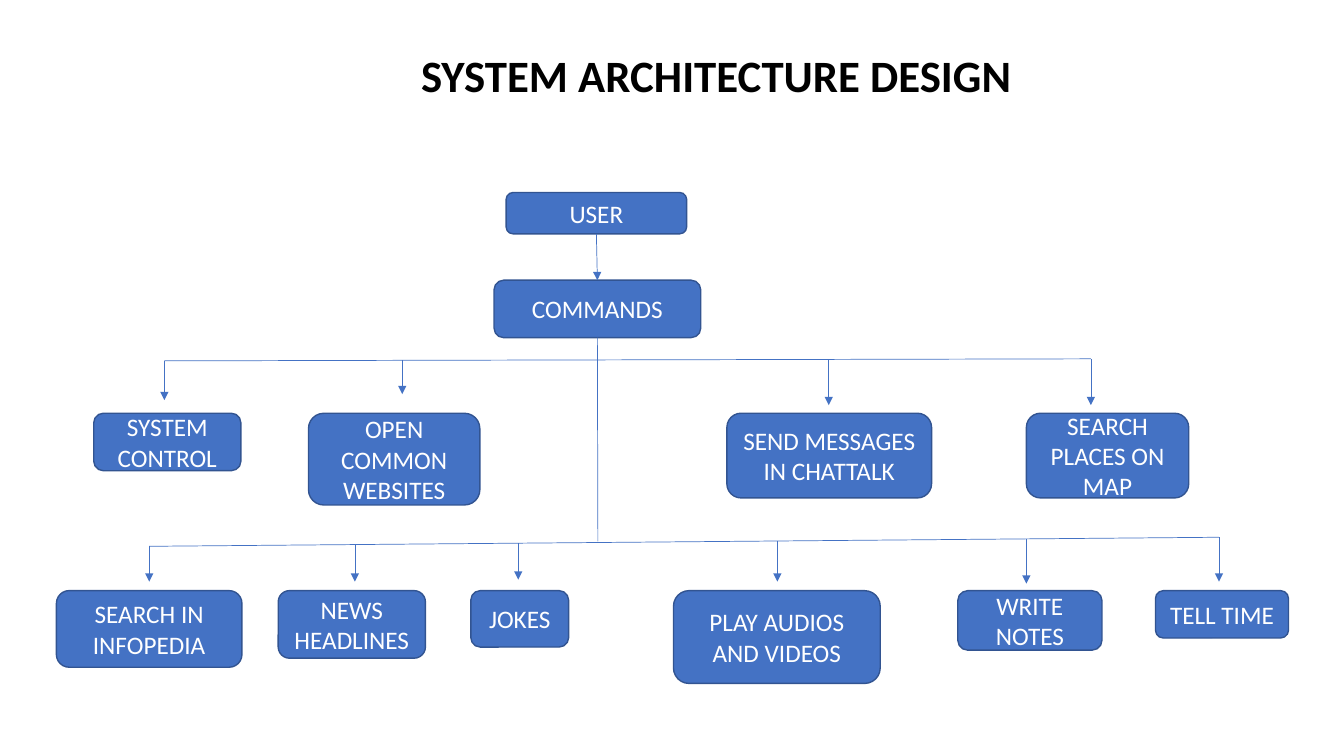
from lxml import etree
from pptx import Presentation
from pptx.dml.color import RGBColor
from pptx.enum.shapes import MSO_CONNECTOR as Connector, MSO_SHAPE as Shape
from pptx.enum.text import MSO_ANCHOR as Anchor, PP_ALIGN as Align
from pptx.oxml.ns import qn
from pptx.util import Inches, Pt

BLUE = "4472C4"
EDGE = "325491"
WHITE = "FFFFFF"
BLACK = "000000"
BOTTOM, TOP = 2, 0

MIDDLE_ROW_TOP = 4.1
MIDDLE_ROW = [
    ("SYSTEM\nCONTROL", 0.93, 1.46, 0.57, 1.63, 3.97),
    ("OPEN\nCOMMON\nWEBSITES", 3.06, 1.7, 0.91, 3.99, 3.91),
    ("SEND MESSAGES IN CHATTALK", 7.21, 2.03, 0.84, 8.22, 4.02),
    ("SEARCH PLACES ON MAP", 10.18, 1.61, 0.84, 10.82, 4.02),
]
BOTTOM_ROW_TOP = 5.86
BOTTOM_ROW = [
    ("SEARCH IN INFOPEDIA", 0.56, 1.84, 0.76, 1.48, 5.77),
    ("NEWS HEADLINES", 2.76, 1.46, 0.67, 3.52, 5.77),
    ("JOKES", 4.67, 0.97, 0.56, 5.14, 5.75),
    ("PLAY AUDIOS AND VIDEOS", 6.68, 2.05, 0.92, 7.71, 5.77),
    ("WRITE NOTES", 9.5, 1.43, 0.59, 10.18, 5.79),
    ("TELL TIME", 11.46, 1.32, 0.47, 12.09, 5.77),
]


def color(value):
    return RGBColor.from_string(value)


def write(frame, text, size=18, ink=WHITE, bold=False, anchor=Anchor.MIDDLE, spacing=None):
    frame.word_wrap = True
    frame.vertical_anchor = anchor
    for index, line in enumerate(text.split("\n")):
        para = frame.add_paragraph() if index else frame.paragraphs[0]
        para.alignment = Align.CENTER
        if spacing:
            para.line_spacing = spacing
        span = para.add_run()
        span.text = line
        span.font.name = "Calibri"
        span.font.size = Pt(size)
        span.font.bold = bold
        span.font.color.rgb = color(ink)


def add_title(page, text):
    box = page.shapes.add_textbox(Inches(1.17), Inches(0.48), Inches(11.27), Inches(0.78))
    box.text_frame.margin_left = Inches(0.7)
    write(box.text_frame, text, size=32, ink=BLACK, bold=True, anchor=Anchor.TOP, spacing=0.9)


def add_box(page, text, left, top, width, height):
    box = page.shapes.add_shape(
        Shape.ROUNDED_RECTANGLE, Inches(left), Inches(top), Inches(width), Inches(height)
    )
    box.shadow.inherit = False
    box.fill.solid()
    box.fill.fore_color.rgb = color(BLUE)
    box.line.color.rgb = color(EDGE)
    box.line.width = Pt(1)
    write(box.text_frame, text)
    return box


def add_line(page, start, end, arrow=False):
    line = page.shapes.add_connector(Connector.STRAIGHT, *map(Inches, start + end))
    line.line.color.rgb = color(BLUE)
    line.line.width = Pt(0.5)
    if arrow:
        outline = line.line._get_or_add_ln()
        etree.SubElement(outline, qn("a:tailEnd"), type="triangle")
    etree.SubElement(line._element.spPr, qn("a:effectLst"))
    return line


def add_branch(page, row, row_top, left_y, right_y):
    left_x, right_x = row[0][4], row[-1][4]
    add_line(page, (left_x, left_y), (right_x, right_y))
    slope = (right_y - left_y) / (right_x - left_x)
    for text, left, width, height, arrow_x, arrow_end in row:
        add_box(page, text, left, row_top, width, height)
        arrow_start = left_y + slope * (arrow_x - left_x)
        add_line(page, (arrow_x, arrow_start), (arrow_x, arrow_end), arrow=True)


def main():
    deck = Presentation()
    deck.slide_width = Inches(13.33)
    deck.slide_height = Inches(7.5)
    page = deck.slides.add_slide(deck.slide_layouts[6])

    add_title(page, "SYSTEM ARCHITECTURE DESIGN")
    user = add_box(page, "USER", 5.02, 1.91, 1.79, 0.41)
    commands = add_box(page, "COMMANDS", 4.9, 2.78, 2.05, 0.57)
    request = add_line(page, (5.91, 2.32), (5.93, 2.78), arrow=True)
    request.begin_connect(user, BOTTOM)
    request.end_connect(commands, TOP)

    add_branch(page, MIDDLE_ROW, MIDDLE_ROW_TOP, 3.58, 3.56)
    add_branch(page, BOTTOM_ROW, BOTTOM_ROW_TOP, 5.42, 5.33)
    trunk = add_line(page, (5.93, 3.35), (5.93, 5.37))
    trunk.begin_connect(commands, BOTTOM)

    deck.save("out.pptx")


if __name__ == "__main__":
    main()
